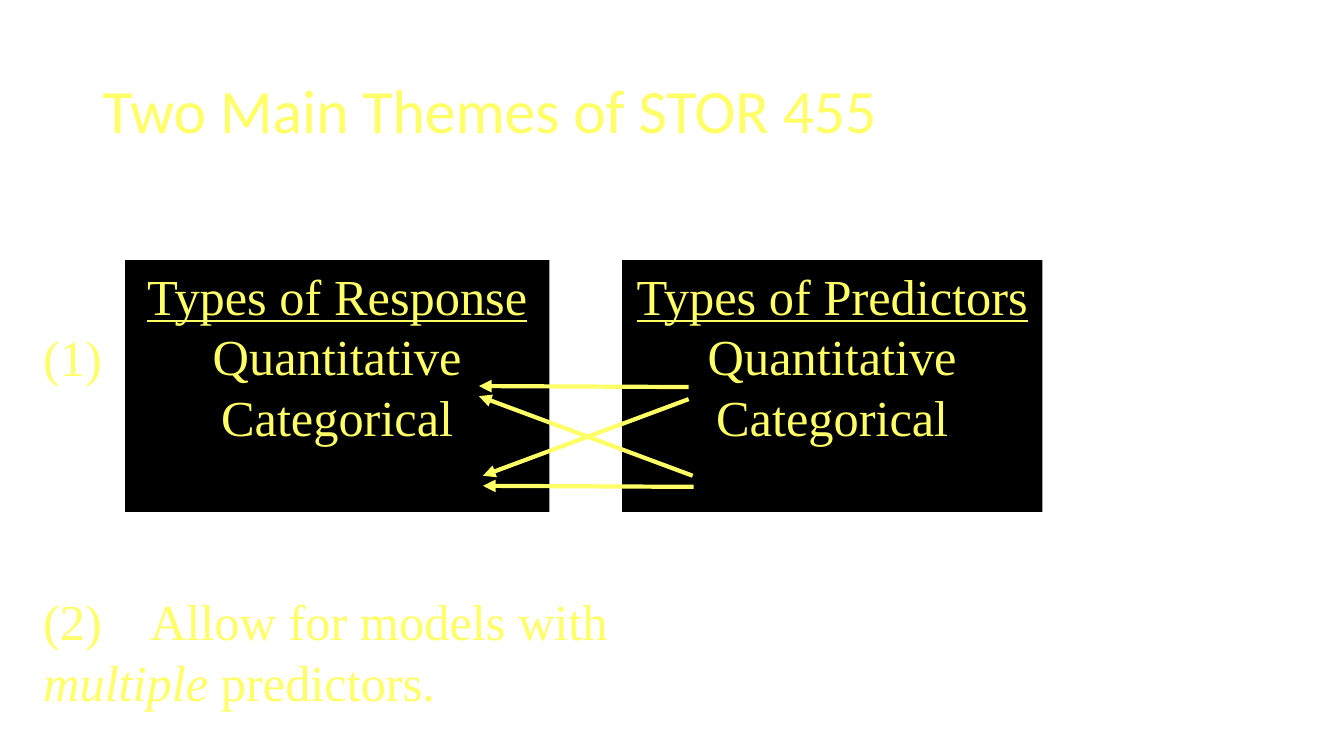
from pptx import Presentation
from pptx.dml.color import RGBColor
from pptx.enum.shapes import MSO_CONNECTOR, MSO_SHAPE
from pptx.enum.text import MSO_ANCHOR, PP_ALIGN
from pptx.oxml.ns import qn
from pptx.util import Inches, Pt
from lxml import etree

RECTANGLE = MSO_SHAPE.RECTANGLE
STRAIGHT = MSO_CONNECTOR.STRAIGHT
TOP, MIDDLE = MSO_ANCHOR.TOP, MSO_ANCHOR.MIDDLE
CENTER = PP_ALIGN.CENTER
YELLOW, BLACK = "FFFF66", "000000"
BODY_FONT, TITLE_FONT = "Times New Roman", "Calibri"


def color(value):
    """Turn a hex string into a colour."""
    return RGBColor.from_string(value)


def style(font, size=36, name=BODY_FONT):
    """Apply the yellow lettering of the slide."""
    font.size, font.name = Pt(size), name
    font.color.rgb = color(YELLOW)


def add_text(slide, box, *pieces, size=36, name=BODY_FONT, anchor=TOP):
    """Place one wrapped paragraph made of the given pieces and return it."""
    frame = slide.shapes.add_textbox(*map(Inches, box)).text_frame
    frame.word_wrap = True
    frame.vertical_anchor = anchor
    paragraph = frame.paragraphs[0]
    for piece in pieces:
        run = paragraph.add_run()
        run.text = piece
        style(run.font, size, name)
    return paragraph


def add_title(slide, box):
    """Place the slide title."""
    title = add_text(slide, box, "Two Main Themes of STOR 455",
                     size=44, name=TITLE_FONT, anchor=MIDDLE)
    title.line_spacing = 0.9


def add_types_panel(slide, box, heading):
    """Place a black panel with an underlined heading and both variable types."""
    panel = slide.shapes.add_shape(RECTANGLE, *map(Inches, box))
    panel.shadow.inherit = False
    panel.fill.solid()
    panel.fill.fore_color.rgb = color(BLACK)
    panel.line.fill.background()
    frame = panel.text_frame
    frame.vertical_anchor = TOP
    frame.text = "\n".join([heading, "Quantitative", "Categorical"])
    for paragraph in frame.paragraphs:
        paragraph.alignment = CENTER
        style(paragraph.runs[0].font)
    frame.paragraphs[0].runs[0].font.underline = True


def add_arrow(slide, start, end):
    """Draw a yellow arrow from a predictor type to a response type."""
    arrow = slide.shapes.add_connector(STRAIGHT, *map(Inches, start + end))
    arrow.line.color.rgb = color(YELLOW)
    arrow.line.width = Pt(3)
    outline = arrow.line._get_or_add_ln()
    etree.SubElement(outline, qn("a:tailEnd"), type="triangle")
    etree.SubElement(arrow._element.spPr, qn("a:effectLst"))


def add_first_theme(slide, box):
    """Place the numbered pair of panels and the arrows between them."""
    left, top, width, height = box
    response_left, predictor_left = left + 0.91, left + 5.84
    add_types_panel(slide, (predictor_left, top, width - 5.84, height), "Types of Predictors")
    add_types_panel(slide, (response_left, top, 4.21, height), "Types of Response")
    add_text(slide, (left, top + 0.61, 1.5, 0.71), "(1)")
    arrows = [((6.5, 1.26), (4.42, 1.25)), ((6.54, 2.14), (4.42, 1.35)),
              ((6.5, 1.38), (4.46, 2.14)), ((6.55, 2.25), (4.46, 2.24))]
    for (x1, y1), (x2, y2) in arrows:
        add_arrow(slide, (left + x1, top + y1), (left + x2, top + y2))


def add_second_theme(slide, box):
    """Place the numbered statement, with its wording set on a tab stop."""
    statement = add_text(slide, box, "(2)\tAllow for models with ", "multiple", " predictors.")
    tabs = etree.SubElement(statement._p.get_or_add_pPr(), qn("a:tabLst"))
    etree.SubElement(tabs, qn("a:tab"), pos=str(Inches(1.06)), algn="l")
    statement.runs[1].font.italic = True


def main():
    """Build and save the slide."""
    deck = Presentation()
    deck.slide_width, deck.slide_height = Inches(13.33), Inches(7.5)
    slide = deck.slides.add_slide(deck.slide_layouts[6])
    add_title(slide, (0.92, 0.4, 11.5, 1.45))
    add_first_theme(slide, (0.33, 2.58, 10.01, 2.5))
    add_second_theme(slide, (0.33, 5.81, 7.17, 1.31))
    deck.save("out.pptx")


if __name__ == "__main__":
    main()
